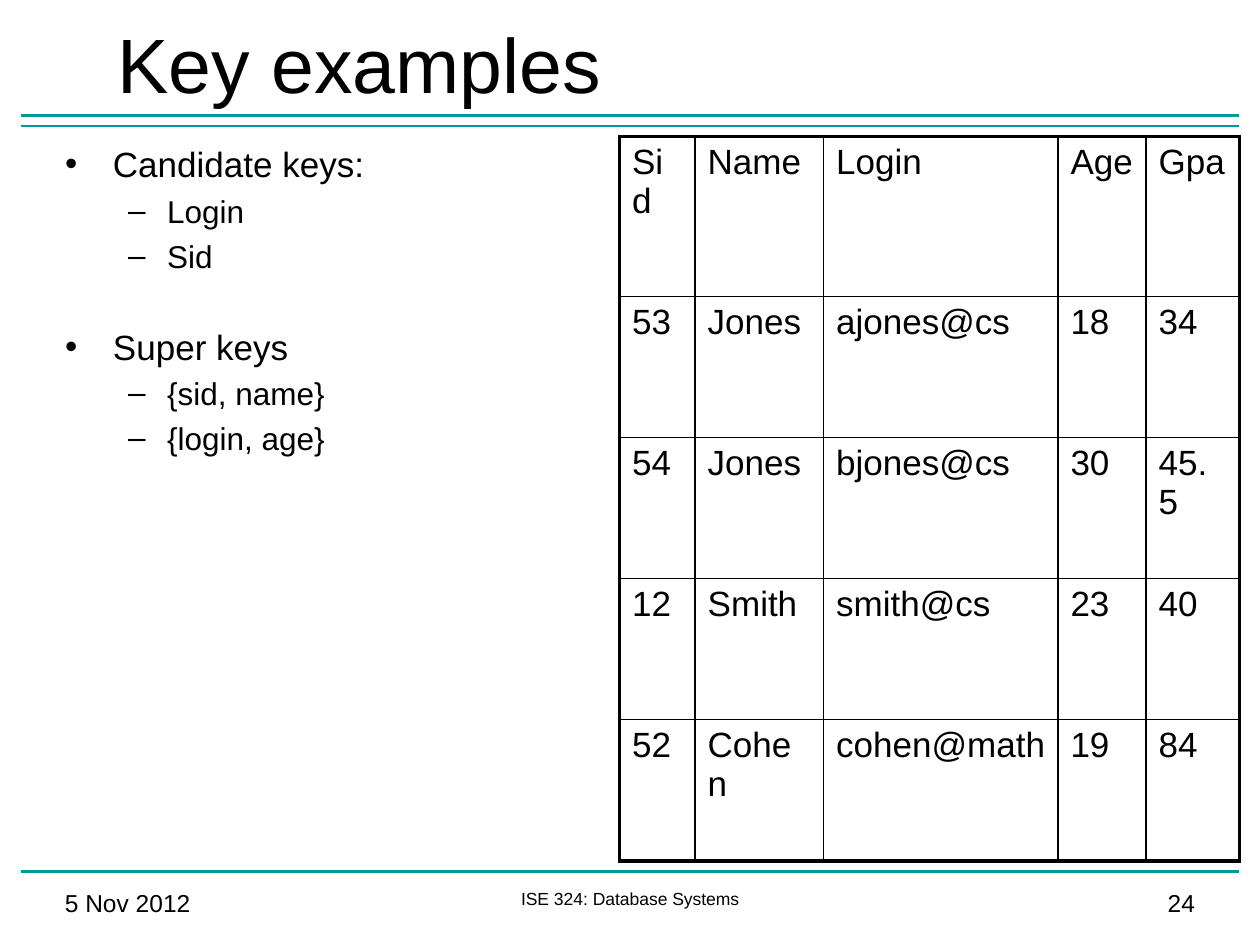
from lxml import etree
from pptx import Presentation
from pptx.dml.color import RGBColor
from pptx.enum.shapes import MSO_CONNECTOR
from pptx.enum.text import MSO_ANCHOR, MSO_AUTO_SIZE, PP_ALIGN
from pptx.oxml.ns import qn
from pptx.util import Inches, Pt

STRAIGHT = MSO_CONNECTOR.STRAIGHT
MIDDLE, TOP = MSO_ANCHOR.MIDDLE, MSO_ANCHOR.TOP
NO_AUTOFIT = MSO_AUTO_SIZE.NONE
LEFT, CENTER, RIGHT = PP_ALIGN.LEFT, PP_ALIGN.CENTER, PP_ALIGN.RIGHT

COLORS = {"text": "000000", "rule": "009999", "border": "000000"}
FONT = "Arial"
UNIT = Inches(10) // 120
THICK, THIN = 2.25, 1

RULE_ROWS = [11, 12, 83]
FOOTERS = [
    ("5 Nov 2012", 5, 29, 14, LEFT),
    ("ISE 324: Database Systems", 37, 46, 10, CENTER),
    ("24", 86, 29, 14, RIGHT),
]
KEYS = [
    (0, "Candidate keys:", 4),
    (1, "Login", 4),
    (1, "Sid", 4),
    (0, "Super keys", 29),
    (1, "{sid, name}", 4),
    (1, "{login, age}", 4),
]
LEVELS = [("•", 20, 0.38, -0.38), ("–", 18, 0.81, -0.31)]
STUDENTS = [
    ("Sid", "Name", "Login", "Age", "Gpa"),
    ("53", "Jones", "ajones@cs", "18", "34"),
    ("54", "Jones", "bjones@cs", "30", "45.5"),
    ("12", "Smith", "smith@cs", "23", "40"),
    ("52", "Cohen", "cohen@math", "19", "84"),
]
COLUMN_WIDTHS = [0.6, 1.02, 1.86, 0.7, 0.74]
ROW_HEIGHTS = [1.27] + [1.12] * 4


def grid(*units):
    """Turn units of the 120 by 90 slide grid into lengths."""
    return [UNIT * unit for unit in units]


def format_paragraph(paragraph, size, alignment=LEFT):
    """Set the font and alignment of a paragraph."""
    paragraph.alignment = alignment
    paragraph.font.name = FONT
    paragraph.font.size = Pt(size)
    paragraph.font.color.rgb = RGBColor.from_string(COLORS["text"])


def place(shape, left, top, width, height, anchor):
    """Move a placeholder on the grid and fix its text frame."""
    shape.left, shape.top, shape.width, shape.height = grid(left, top, width, height)
    shape.text_frame.auto_size = NO_AUTOFIT
    shape.text_frame.vertical_anchor = anchor


def add_rule(slide, row):
    """Draw a horizontal rule across the slide."""
    connector = slide.shapes.add_connector(STRAIGHT, *grid(2, row, 118, row))
    connector.line.color.rgb = RGBColor.from_string(COLORS["rule"])
    connector.line.width = Pt(1.5)
    etree.SubElement(connector._element.spPr, qn("a:effectLst"))


def add_footer(slide, text, left, width, size, alignment):
    """Add one text of the footer row."""
    frame = slide.shapes.add_textbox(*grid(left, 84, width, 4)).text_frame
    frame.word_wrap = True
    frame.text = text
    format_paragraph(frame.paragraphs[0], size, alignment)


def fill_title(slide, text):
    """Write the slide title."""
    title = slide.shapes.title
    place(title, 10, 0, 105, 12, MIDDLE)
    title.text_frame.text = text
    format_paragraph(title.text_frame.paragraphs[0], 44)


def fill_list(slide, items):
    """Write the two-level bullet list into the body placeholder."""
    body = slide.placeholders[1]
    place(body, 5, 13, 54, 69, TOP)
    frame = body.text_frame
    frame.text = "\n".join(text for _, text, _ in items)
    for paragraph, (level, _, space) in zip(frame.paragraphs, items):
        bullet, size, margin, indent = LEVELS[level]
        paragraph.level = level
        paragraph.space_before = Pt(space)
        format_paragraph(paragraph, size)
        properties = paragraph._p.get_or_add_pPr()
        properties.set("marL", str(Inches(margin)))
        properties.set("indent", str(Inches(indent)))
        mark = etree.Element(qn("a:buChar"), char=bullet)
        properties.find(qn("a:defRPr")).addprevious(mark)


def set_borders(cell, widths):
    """Draw the left, right, top and bottom borders of a cell."""
    properties = cell._tc.get_or_add_tcPr()
    for position, (side, width) in enumerate(zip("LRTB", widths)):
        line = etree.Element(qn(f"a:ln{side}"), w=str(Pt(width)))
        fill = etree.SubElement(line, qn("a:solidFill"))
        etree.SubElement(fill, qn("a:srgbClr"), val=COLORS["border"])
        properties.insert(position, line)


def add_student_table(slide, rows):
    """Add the student table with a thick outline and thin inner lines."""
    last_row, last_column = len(rows) - 1, len(rows[0]) - 1
    frame = slide.shapes.add_table(len(rows), len(rows[0]), *grid(59, 13, 59, 69))
    table = frame.table
    table.first_row = table.horz_banding = False
    for column, width in zip(table.columns, COLUMN_WIDTHS):
        column.width = Inches(width)
    for row, height in zip(table.rows, ROW_HEIGHTS):
        row.height = Inches(height)
    for i, values in enumerate(rows):
        for j, value in enumerate(values):
            cell = table.cell(i, j)
            cell.text = value
            cell.fill.background()
            format_paragraph(cell.text_frame.paragraphs[0], 20)
            outer = (j == 0, j == last_column, i == 0, i == last_row)
            set_borders(cell, [THICK if edge else THIN for edge in outer])


def main():
    """Build the slide and save it."""
    presentation = Presentation()
    presentation.slide_width, presentation.slide_height = grid(120, 90)
    slide = presentation.slides.add_slide(presentation.slide_layouts[1])
    for row in RULE_ROWS:
        add_rule(slide, row)
    for footer in FOOTERS:
        add_footer(slide, *footer)
    fill_title(slide, "Key examples")
    fill_list(slide, KEYS)
    add_student_table(slide, STUDENTS)
    presentation.save("out.pptx")


if __name__ == "__main__":
    main()
